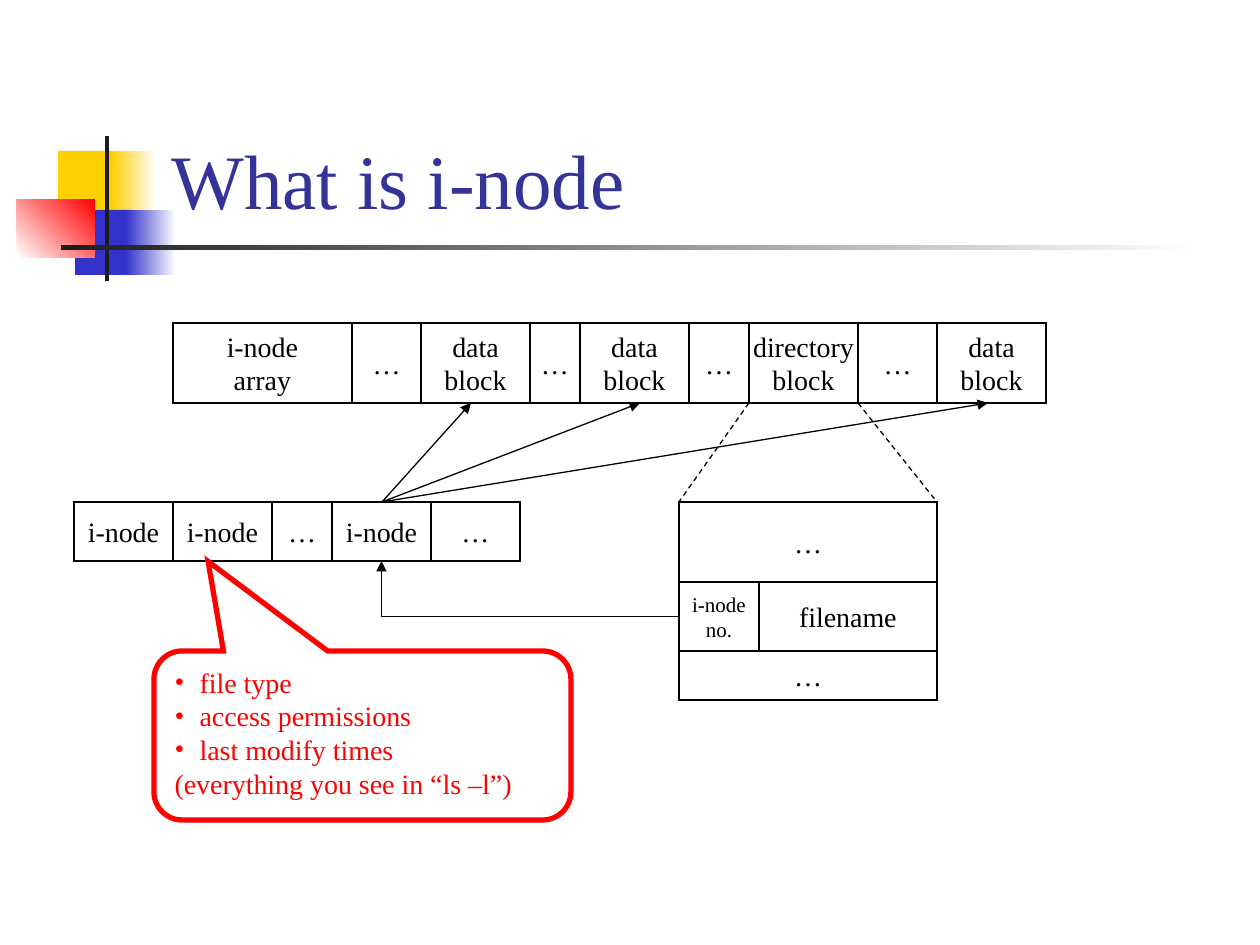
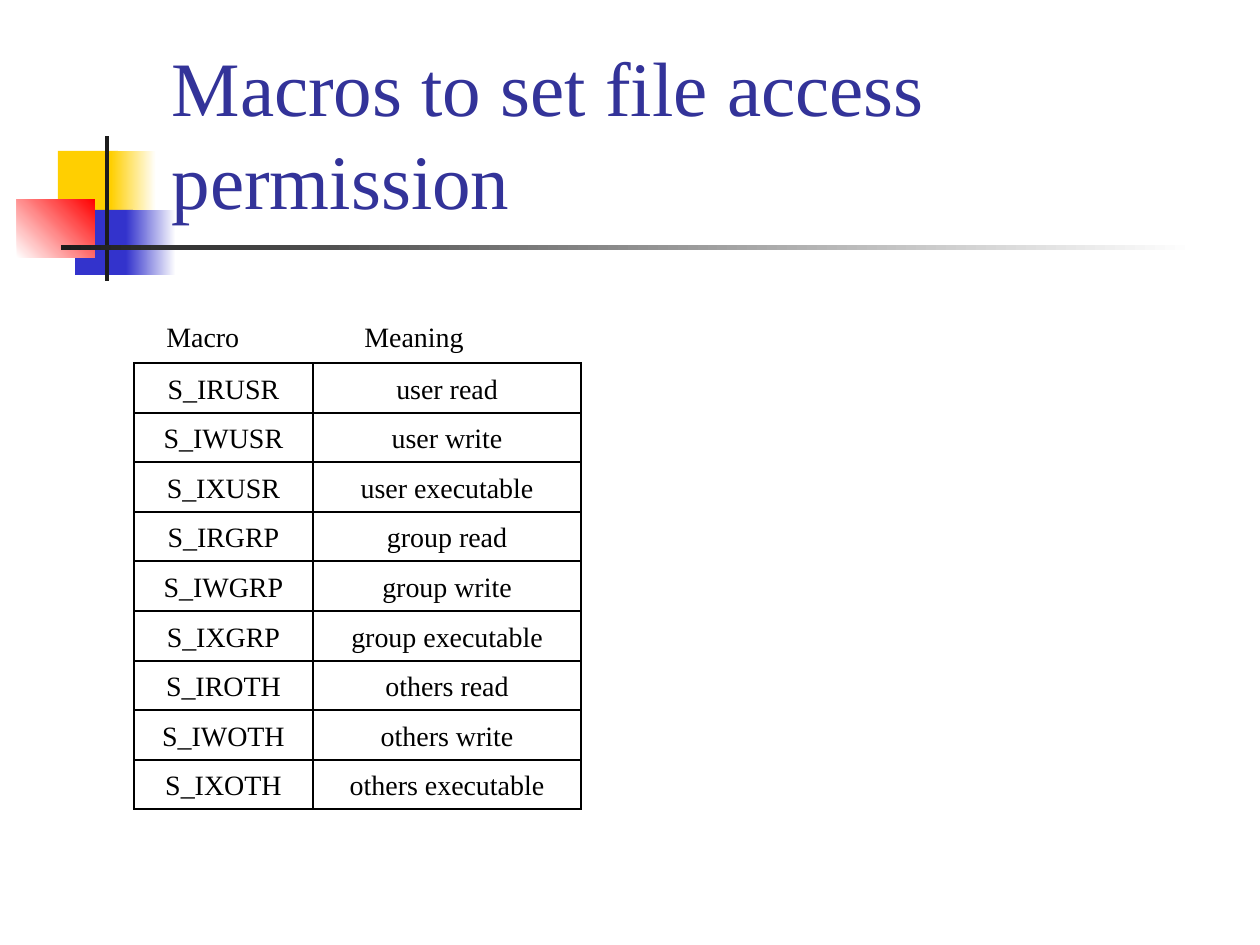
from itertools import product

from lxml.etree import SubElement
from pptx import Presentation
from pptx.dml.color import RGBColor
from pptx.enum.dml import MSO_LINE
from pptx.enum.shapes import MSO_CONNECTOR, MSO_SHAPE
from pptx.enum.text import MSO_ANCHOR, PP_ALIGN
from pptx.oxml.ns import qn
from pptx.util import Pt

PX = 914400 / 126
WIDTH, HEIGHT = 1260, 945
TITLE_ONLY = 5


def emu(*lengths):
    """Turn pixel lengths into EMU."""
    return [round(n * PX) for n in lengths]


def rgb(code):
    """Turn a hex string into a colour."""
    return RGBColor.from_string(code)


class Deck:
    """The shared style and the slide being drawn."""

    FONT = "Times New Roman"
    BLACK, WHITE, RED = "000000", "FFFFFF", "FF0000"
    YELLOW, BLUE, DARK, TITLE = "FFCF01", "3333CC", "1C1C1C", "333399"
    THIN, THICK = 0.75, 3
    BODY, SMALL, HEADING = 16, 12, 44

    def __init__(self):
        """Open an empty presentation and choose its layout."""
        self.prs = Presentation()
        self.prs.slide_width, self.prs.slide_height = emu(WIDTH, HEIGHT)
        self.layout = self.prs.slide_layouts[TITLE_ONLY]
        self.slide = None

    def new_slide(self, title):
        """Start a slide and format its title."""
        first = self.slide is None
        self.slide = self.prs.slides.add_slide(self.layout)
        if first:
            self.decorate_layout()
        sp = self.slide.shapes.title
        sp.left, sp.top, sp.width, sp.height = emu(159, 29, 1074, 202)
        sp.text_frame.text = title
        sp.text_frame.vertical_anchor = MSO_ANCHOR.BOTTOM
        self.format_text(sp.text_frame, self.HEADING, self.TITLE, PP_ALIGN.LEFT)

    def decorate_layout(self):
        """Draw the coloured squares and rules once, behind the layout."""
        parts = [
            self.band(58, 151, 60, 66, self.YELLOW),
            self.band(111, 151, 45, 66, self.YELLOW, self.WHITE),
            self.band(75, 210, 58, 65, self.BLUE),
            self.band(126, 210, 50, 65, self.BLUE, self.WHITE),
            self.band(17, 199, 78, 59, self.WHITE, self.RED, angle=45),
            self.band(105, 136, 4, 145, self.DARK),
            self.band(61, 245, 1134, 5, self.DARK, self.WHITE),
        ]
        tree = self.layout.shapes.element
        for i, sp in enumerate(parts, start=2):
            tree.insert(i, sp.element)

    def format_text(self, tf, size, color, align):
        """Format every paragraph and run of a text frame."""
        for p in tf.paragraphs:
            p.alignment = align
            for r in p.runs:
                r.font.name, r.font.size = self.FONT, Pt(size)
                r.font.color.rgb = rgb(color)

    def shape(self, kind, x, y, w, h):
        """Add a preset shape without shadow."""
        sp = self.slide.shapes.add_shape(kind, *emu(x, y, w, h))
        sp.shadow.inherit = False
        return sp

    def band(self, x, y, w, h, color, end=None, angle=0):
        """Add a rectangle without outline, plain or fading to another colour."""
        sp = self.shape(MSO_SHAPE.RECTANGLE, x, y, w, h)
        sp.line.fill.background()
        if end:
            sp.fill.gradient()
            sp.fill.gradient_angle = angle
            for stop, code in zip(sp.fill.gradient_stops, (color, end)):
                stop.color.rgb = rgb(code)
        else:
            sp.fill.solid()
            sp.fill.fore_color.rgb = rgb(color)
        return sp

    def outline(self, sp, color, width):
        """Leave a shape unfilled, with a coloured outline and sharp corners."""
        sp.fill.background()
        sp.line.color.rgb = rgb(color)
        sp.line.width = Pt(width)
        SubElement(sp.line._get_or_add_ln(), qn("a:miter"), lim="800000")

    def box(self, x, y, w, h, text, size=BODY):
        """Add an outlined box with centred text."""
        sp = self.shape(MSO_SHAPE.RECTANGLE, x, y, w, h)
        self.outline(sp, self.BLACK, self.THIN)
        tf = sp.text_frame
        tf.text = text
        tf.word_wrap = False
        tf.vertical_anchor = MSO_ANCHOR.MIDDLE
        self.format_text(tf, size, self.BLACK, PP_ALIGN.CENTER)
        return sp

    def row(self, x, y, h, cells):
        """Add adjoining boxes, given as (width, text) pairs."""
        boxes = []
        for w, text in cells:
            boxes.append(self.box(x, y, w, h, text))
            x += w
        return boxes

    def line(self, start, end, kind=MSO_CONNECTOR.STRAIGHT, dashed=False, arrow=False):
        """Add a thin connector between two points."""
        cx = self.slide.shapes.add_connector(kind, *emu(*start, *end))
        cx.line.color.rgb = rgb(self.BLACK)
        cx.line.width = Pt(self.THIN)
        if dashed:
            cx.line.dash_style = MSO_LINE.DASH
        if arrow:
            SubElement(cx.line._get_or_add_ln(), qn("a:tailEnd"), type="triangle")
        SubElement(cx.element.spPr, qn("a:effectLst"))
        return cx

    def elbow(self, start, end, source, target):
        """Join the left of one box to the bottom of another by one bend."""
        cx = self.line(start, end, MSO_CONNECTOR.ELBOW, arrow=True)
        cx.element.spPr.find(qn("a:prstGeom")).set("prst", "bentConnector2")
        cx.begin_connect(source, 1)
        cx.end_connect(target, 2)

    def callout(self, x, y, w, h, tip, bullets, closing):
        """Add a red speech bubble with bullets and a closing line."""
        sp = self.shape(MSO_SHAPE.ROUNDED_RECTANGULAR_CALLOUT, x, y, w, h)
        sp.adjustments[0], sp.adjustments[1] = tip
        self.outline(sp, self.RED, self.THICK)
        tf = sp.text_frame
        tf.text = "\n".join([*bullets, closing])
        tf.word_wrap = True
        tf.vertical_anchor = MSO_ANCHOR.TOP
        self.format_text(tf, self.BODY, self.RED, PP_ALIGN.LEFT)
        indent, = emu(25)
        for i, p in enumerate(tf.paragraphs):
            pPr = p._p.get_or_add_pPr()
            pPr.set("marL", str(indent))
            pPr.set("indent", str(-indent))
            if i < len(bullets):
                SubElement(pPr, qn("a:buFont"), typeface=self.FONT)
                SubElement(pPr, qn("a:buChar"), char="•")
            else:
                SubElement(pPr, qn("a:buNone"))

    def label(self, x, y, w, h, text):
        """Add a line of plain text."""
        tf = self.slide.shapes.add_textbox(*emu(x, y, w, h)).text_frame
        tf.text = text
        tf.word_wrap = False
        self.format_text(tf, self.BODY, self.BLACK, PP_ALIGN.LEFT)


def inode_slide(deck):
    """Show how i-nodes, data blocks and directories are linked."""
    deck.new_slide("What is i-node")
    data = (109, "data\nblock")
    disk_y, disk_h = 323, 80
    deck.row(173, disk_y, disk_h, [
        (179, "i-node\narray"), (69, "…"), data, (50, "…"), data, (60, "…"),
        (109, "directory\nblock"), (79, "…"), data])
    disk_bottom = disk_y + disk_h

    inode = (99, "i-node")
    array_y, array_h = 502, 59
    inodes = deck.row(74, array_y, array_h, [inode, inode, (60, "…"), inode, (89, "…")])

    left, right, split = 679, 937, 759
    deck.box(left, array_y, right - left, 80, "…")
    number = deck.box(left, 582, split - left, 69, "i-node\nno.", deck.SMALL)
    deck.box(split, 582, right - split, 69, "filename")
    deck.box(left, 651, right - left, 49, "…")

    deck.line((749, disk_bottom), (left, array_y), dashed=True)
    deck.line((858, disk_bottom), (right, array_y), dashed=True)
    inode_x = 382
    deck.elbow((left, 616), (inode_x, array_y + array_h), number, inodes[3])
    for block_x in (471, 640, 988):
        deck.line((inode_x, array_y), (block_x, disk_bottom), arrow=True)

    deck.callout(154, 651, 417, 169, (-0.37, -1.03),
                 ["file type", "access permissions", "last modify times"],
                 "(everything you see in “ls –l”)")


def macros_slide(deck):
    """List the permission macros and their meanings."""
    deck.new_slide("Macros to set file access permission")
    deck.label(154, 313, 98, 46, "Macro")
    deck.label(352, 313, 125, 46, "Meaning")
    classes = [("USR", "user"), ("GRP", "group"), ("OTH", "others")]
    rights = [("R", "read"), ("W", "write"), ("X", "executable")]
    top, pitch = 363, 49.6
    for i, ((code, who), (letter, right)) in enumerate(product(classes, rights)):
        y, bottom = round(top + i * pitch), round(top + (i + 1) * pitch)
        deck.row(134, y, bottom - y,
                 [(179, f"S_I{letter}{code}"), (268, f"{who} {right}")])


deck = Deck()
inode_slide(deck)
macros_slide(deck)
deck.prs.save("out.pptx")
